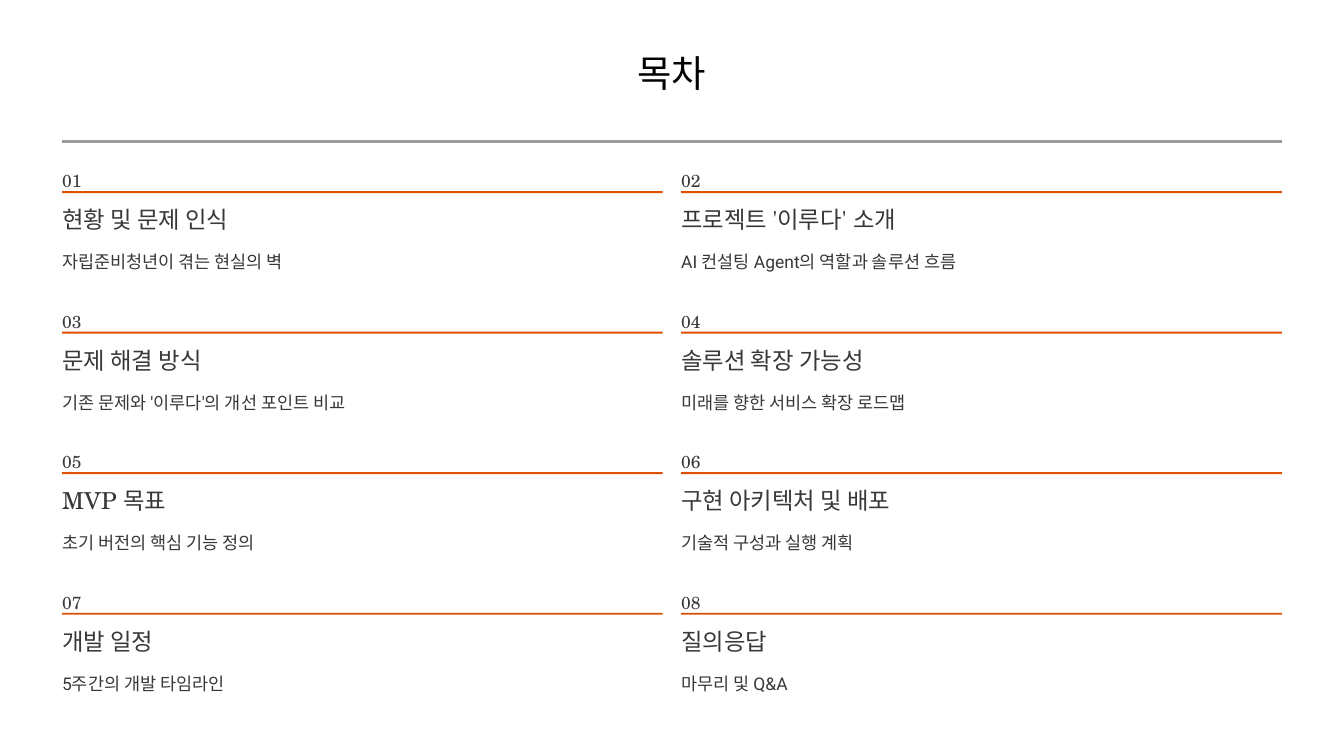
"""Builds a contents slide with eight numbered topics in two columns."""
from lxml import etree
from pptx import Presentation
from pptx.dml.color import RGBColor
from pptx.enum.shapes import MSO_SHAPE
from pptx.enum.text import MSO_ANCHOR, MSO_AUTO_SIZE, PP_ALIGN
from pptx.oxml.ns import qn
from pptx.util import Cm, Pt

RECT = MSO_SHAPE.RECTANGLE
TOP = MSO_ANCHOR.TOP
FIXED = MSO_AUTO_SIZE.NONE
LEFT, CENTER = PP_ALIGN.LEFT, PP_ALIGN.CENTER

SERIF, SANS = "TeX Gyre Schola", "Roboto"
BLACK, GREY, ORANGE = "020202", "383838", "E04F00"
EDGE, WIDTH = 1.88, 18.16
COL_STEP, ROW_STEP = 18.72, 4.25

TOPICS = [
    ("현황 및 문제 인식", "자립준비청년이 겪는 현실의 벽"),
    ("프로젝트 '이루다' 소개", "AI 컨설팅 Agent의 역할과 솔루션 흐름"),
    ("문제 해결 방식", "기존 문제와 '이루다'의 개선 포인트 비교"),
    ("솔루션 확장 가능성", "미래를 향한 서비스 확장 로드맵"),
    ("MVP 목표", "초기 버전의 핵심 기능 정의"),
    ("구현 아키텍처 및 배포", "기술적 구성과 실행 계획"),
    ("개발 일정", "5주간의 개발 타임라인"),
    ("질의응답", "마무리 및 Q&A"),
]


def write(box, text, size, line, font=SERIF, color=GREY, align=LEFT):
    frame = box.text_frame
    frame.margin_left = frame.margin_right = 0
    frame.margin_top = frame.margin_bottom = 0
    frame.word_wrap = False
    frame.auto_size = FIXED
    frame.vertical_anchor = TOP
    para = frame.paragraphs[0]
    para.alignment = align
    para.line_spacing = Pt(line)
    run = para.add_run()
    run.text = text
    run.font.name = font
    run.font.size = Pt(size)
    run.font.color.rgb = RGBColor.from_string(color)


def add_rule(x, y, width, height, color):
    rule = slide.shapes.add_shape(RECT, Cm(x), Cm(y), Cm(width), Cm(height))
    rule.shadow.inherit = False
    rule.fill.solid()
    rule.fill.fore_color.rgb = RGBColor.from_string(color)
    rule.line.fill.background()
    return rule


deck = Presentation()
deck.slide_width, deck.slide_height = Cm(40.64), Cm(22.86)
slide = deck.slides.add_slide(deck.slide_layouts[5])

title = slide.shapes.title
title.left, title.top = Cm(14.67), Cm(1.47)
title.width, title.height = Cm(11.3), Cm(1.42)
write(title, "목차", 32, 40, color=BLACK, align=CENTER)

divider = add_rule(EDGE, 4.24, 36.88, 0.08, GREY)
tint = divider.fill._xPr.find(".//" + qn("a:srgbClr"))
etree.SubElement(tint, qn("a:alpha"), val="50000")

for i, (name, detail) in enumerate(TOPICS):
    row, col = divmod(i, 2)
    x = EDGE + col * COL_STEP
    y = 4.93 + row * ROW_STEP
    number = slide.shapes.add_textbox(Cm(x), Cm(y), Cm(0.53), Cm(0.66))
    write(number, f"{i + 1:02}", 15, 24)
    add_rule(x, y + 0.85, WIDTH, 0.06, ORANGE)
    head = slide.shapes.add_textbox(Cm(x), Cm(y + 1.25), Cm(7.06), Cm(0.89))
    write(head, name, 20, 25)
    body = slide.shapes.add_textbox(Cm(x), Cm(y + 2.46), Cm(WIDTH), Cm(0.86))
    write(body, detail, 15, 24, SANS)

deck.save("out.pptx")
